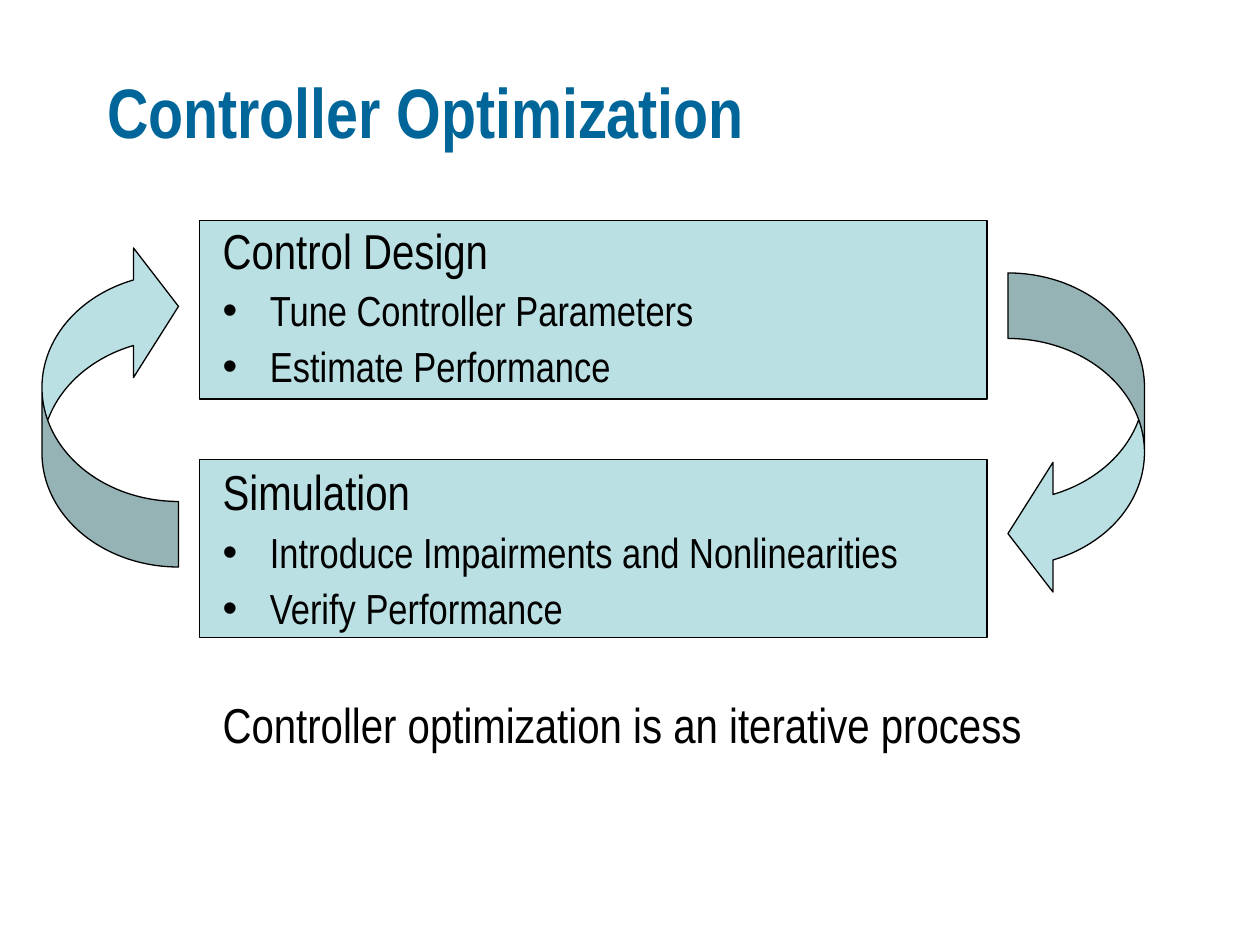
from lxml.etree import SubElement
from pptx import Presentation
from pptx.dml.color import RGBColor
from pptx.enum.shapes import MSO_SHAPE
from pptx.enum.text import MSO_ANCHOR, MSO_AUTO_SIZE, PP_ALIGN
from pptx.oxml.ns import qn
from pptx.util import Pt

PX = 9525  # 96 px to the inch


def color(code):
    return RGBColor.from_string(code)


def place(shape, left, top, width, height):
    spots = {"left": left, "top": top, "width": width, "height": height}
    for key, val in spots.items():
        setattr(shape, key, val * PX)


deck = Presentation()
deck.slide_width, deck.slide_height = 960 * PX, 720 * PX
slide = deck.slides.add_slide(deck.slide_layouts[1])
title, body = slide.placeholders

# Title
place(title, 72, 24, 816, 120)
title.text_frame.text = "Controller Optimization"
title.text_frame.vertical_anchor = MSO_ANCHOR.MIDDLE
head = title.text_frame.paragraphs[0]
head.alignment = PP_ALIGN.LEFT
look = {"name": "Arial Narrow", "size": Pt(40), "bold": True}
for key, val in look.items():
    setattr(head.font, key, val)
head.font.color.rgb = color("006699")

# Body: text, size, space before, bullet
lines = [
    ("Control Design", 28, 7, False),
    ("Tune Controller Parameters", 24, 6, True),
    ("Estimate Performance", 24, 6, True),
    ("Simulation", 28, 44, False),
    ("Introduce Impairments and Nonlinearities", 24, 6, True),
    ("Verify Performance", 24, 6, True),
    ("Controller optimization is an iterative process", 28, 39, False),
]
place(body, 160, 168, 696, 424)
frame = body.text_frame
frame.auto_size = MSO_AUTO_SIZE.NONE
frame.text = "\n".join(line[0] for line in lines)
for para, (_, size, gap, dot) in zip(frame.paragraphs, lines):
    form = {"line_spacing": 0.9, "space_before": Pt(gap)}
    for key, val in form.items():
        setattr(para, key, val)
    look = {"name": "Arial Narrow", "size": Pt(size)}
    for key, val in look.items():
        setattr(para.font, key, val)
    para.font.color.rgb = color("000000")
    props = para._p.get_or_add_pPr()
    props.set("marL", str(36 * PX))
    props.set("indent", str(-36 * PX))
    # Bullet goes before the default run format
    mark = SubElement(props, qn("a:buChar" if dot else "a:buNone"))
    if dot:
        mark.set("char", "•")
    run = props.find(qn("a:defRPr"))
    if run is not None:
        run.addprevious(mark)
    for part in para.runs:
        for key, val in look.items():
            setattr(part.font, key, val)
        part.font.color.rgb = color("000000")

# Boxes behind the text, then the two loop arrows
box, loop = MSO_SHAPE.RECTANGLE, MSO_SHAPE.CURVED_LEFT_ARROW
parts = [
    (box, 152, 350, 600, 136, 0),
    (box, 152, 168, 600, 136, 0),
    (loop, 768, 208, 104, 248, 0),
    (loop, 32, 184, 104, 248, 180),
]
for kind, left, top, width, height, turn in parts:
    shape = slide.shapes.add_shape(kind, 0, 0, PX, PX)
    place(shape, left, top, width, height)
    shape.rotation = turn
    shape.shadow.inherit = False
    shape.fill.solid()
    shape.fill.fore_color.rgb = color("BBE0E3")
    shape.line.color.rgb = color("000000")
    shape.line.width = Pt(0.75)
    if kind == box:
        title.element.addprevious(shape.element)
    else:
        for i, val in enumerate((0.48, 0.95, 0.33)):
            shape.adjustments[i] = val

deck.save("out.pptx")
